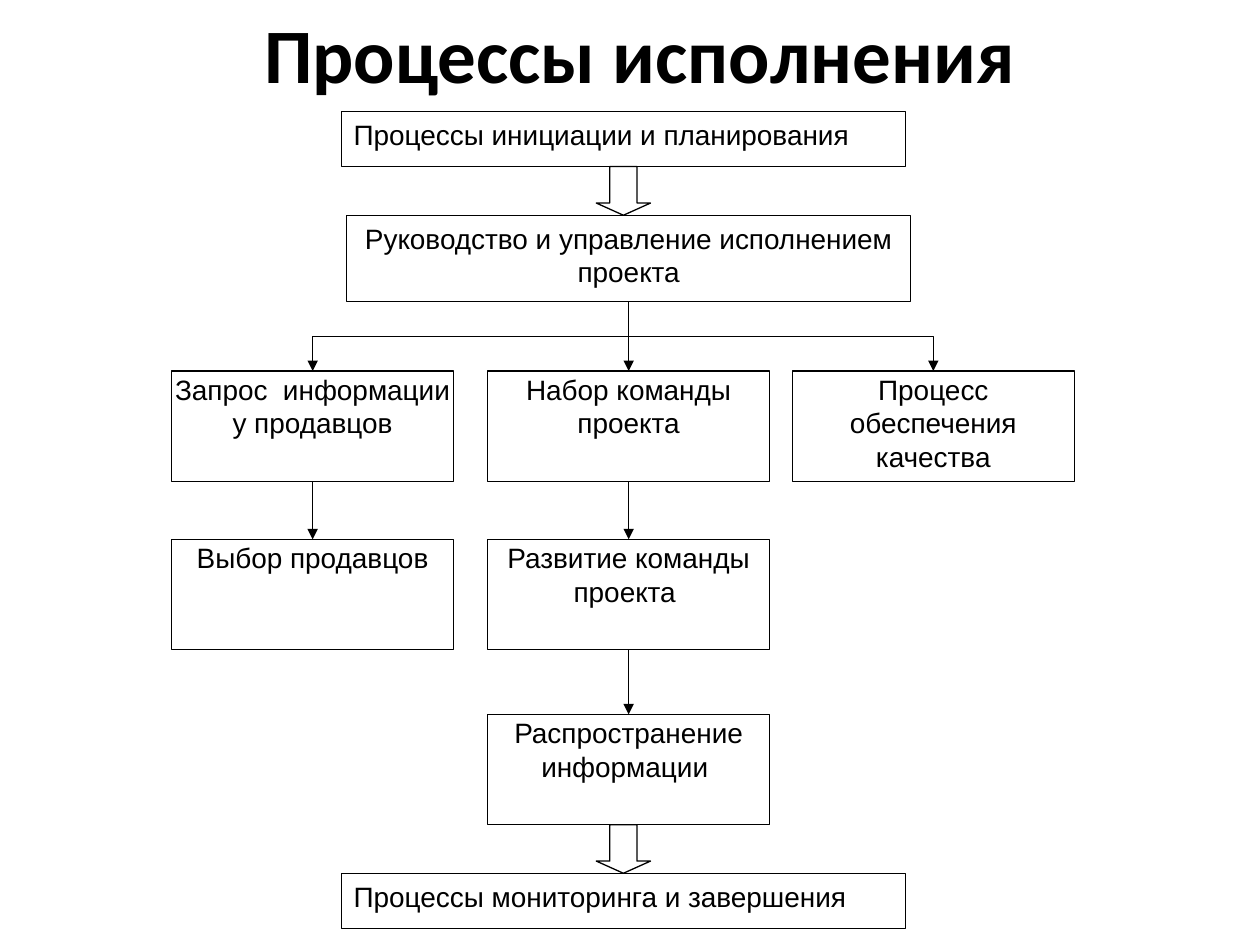
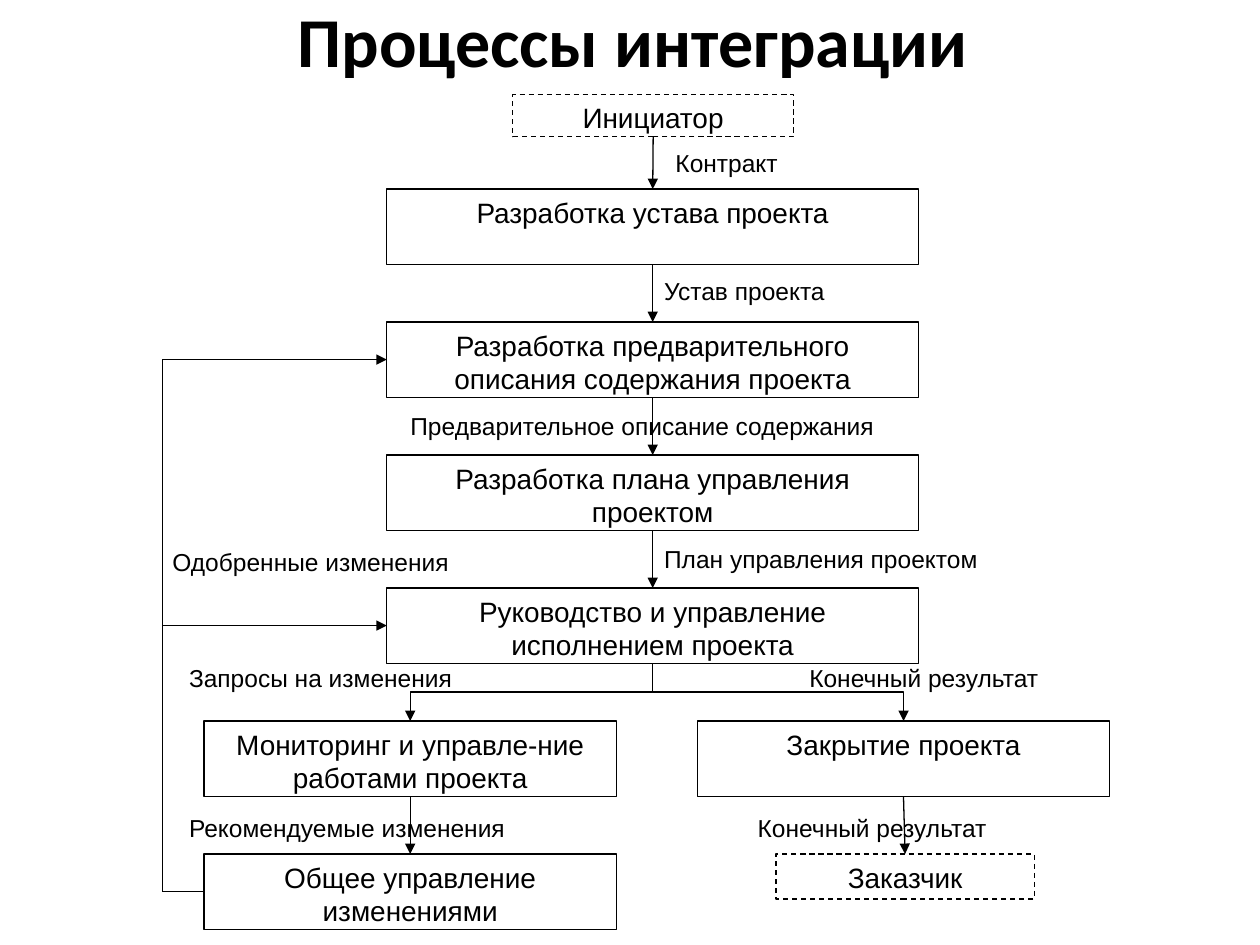
from dataclasses import dataclass

from lxml.etree import SubElement
from pptx import Presentation
from pptx.dml.color import RGBColor
from pptx.enum.dml import MSO_LINE
from pptx.enum.shapes import MSO_CONNECTOR, MSO_SHAPE
from pptx.enum.text import MSO_ANCHOR, PP_ALIGN
from pptx.oxml.ns import qn
from pptx.util import Pt

RECTANGLE, DOWN_ARROW = MSO_SHAPE.RECTANGLE, MSO_SHAPE.DOWN_ARROW
STRAIGHT, ELBOW = MSO_CONNECTOR.STRAIGHT, MSO_CONNECTOR.ELBOW
LEFT, CENTER = PP_ALIGN.LEFT, PP_ALIGN.CENTER
TOP, DASH = MSO_ANCHOR.TOP, MSO_LINE.DASH
SIDE_TOP, SIDE_BOTTOM = 0, 2
TITLE_ONLY = 5


@dataclass(frozen=True)
class Theme:
    ink: RGBColor = RGBColor(0, 0, 0)
    paper: RGBColor = RGBColor(255, 255, 255)
    title_font: str = "Calibri"
    body_font: str = "Arial"
    box_size: float = 16
    label_size: float = 14
    line_width: float = 0.75
    box_insets: tuple = (7.2, 3.6)
    tight_insets: tuple = (0, 0.7)
    label_insets: tuple = (0, 0)


class FlowChart:
    """Holds the theme and the current slide."""

    def __init__(self, presentation, theme):
        self.presentation = presentation
        self.theme = theme
        self.slide = None

    def new_slide(self, title, bounds, size):
        layout = self.presentation.slide_layouts[TITLE_ONLY]
        self.slide = self.presentation.slides.add_slide(layout)
        self.slide.background.fill.solid()
        self.slide.background.fill.fore_color.rgb = self.theme.paper
        shape = self.slide.shapes.title
        shape.left, shape.top, shape.width, shape.height = map(Pt, bounds)
        self.set_text(shape, title, size, CENTER, self.theme.box_insets,
                      self.theme.title_font, bold=True)

    def set_text(self, shape, text, size, alignment, insets, font=None, bold=False):
        frame = shape.text_frame
        frame.text = text
        frame.word_wrap = True
        frame.vertical_anchor = TOP
        frame.margin_left = frame.margin_right = Pt(insets[0])
        frame.margin_top = frame.margin_bottom = Pt(insets[1])
        for paragraph in frame.paragraphs:
            paragraph.alignment = alignment
            for run in paragraph.runs:
                run.font.name = font or self.theme.body_font
                run.font.size = Pt(size)
                run.font.bold = bold
                run.font.color.rgb = self.theme.ink

    def outline(self, line):
        line.color.rgb = self.theme.ink
        line.width = Pt(self.theme.line_width)

    def filled_shape(self, kind, bounds):
        shape = self.slide.shapes.add_shape(kind, *map(Pt, bounds))
        shape.shadow.inherit = False
        shape.fill.solid()
        shape.fill.fore_color.rgb = self.theme.paper
        self.outline(shape.line)
        return shape

    def box(self, text, *bounds, alignment=CENTER, insets=None, dashed=False):
        shape = self.filled_shape(RECTANGLE, bounds)
        if dashed:
            shape.line.dash_style = DASH
        self.set_text(shape, text, self.theme.box_size, alignment,
                      insets or self.theme.box_insets)
        return shape

    def block_arrow(self, *bounds):
        shape = self.filled_shape(DOWN_ARROW, bounds)
        shape.adjustments[0], shape.adjustments[1] = 0.5, 0.25

    def label(self, text, left, top, width, height=17):
        shape = self.slide.shapes.add_textbox(*map(Pt, (left, top, width, height)))
        self.set_text(shape, text, self.theme.label_size, LEFT, self.theme.label_insets)

    def connector(self, kind, *ends):
        connector = self.slide.shapes.add_connector(kind, *ends)
        self.outline(connector.line)
        properties = connector._element.spPr
        SubElement(properties.find(qn("a:ln")), qn("a:tailEnd"), type="triangle")
        SubElement(properties, qn("a:effectLst"))
        return connector

    def arrow(self, source, target):
        connector = self.connector(STRAIGHT, 0, 0, 0, 0)
        connector.begin_connect(source, SIDE_BOTTOM)
        connector.end_connect(target, SIDE_TOP)

    def branch(self, source, target):
        """Elbow from the bottom of source to the top of target."""
        start_x = source.left + source.width // 2
        start_y = source.top + source.height
        end_x = target.left + target.width // 2
        drop, run = target.top - start_y, abs(end_x - start_x)
        left = (start_x + end_x - drop) // 2
        top = (start_y + target.top - run) // 2
        connector = self.connector(ELBOW, left, top, left + drop, top + run)
        # A quarter turn makes the elbow leave and arrive vertically
        transform = connector._element.spPr.find(qn("a:xfrm"))
        goes_right = end_x > start_x
        transform.set("rot", str((270 if goes_right else 90) * 60000))
        if goes_right:
            transform.set("flipH", "1")

    def feedback(self, source, target, detour):
        """Elbow round the left, between the left sides of two boxes."""
        connector = self.connector(ELBOW, source.left, source.top + source.height // 2,
                                   target.left, target.top + target.height // 2)
        bend = round(-100000 * Pt(detour) / connector.width)
        geometry = connector._element.spPr.find(qn("a:prstGeom"))
        SubElement(geometry.find(qn("a:avLst")), qn("a:gd"),
                   name="adj1", fmla=f"val {bend}")


def build_execution(chart):
    chart.new_slide("Процессы исполнения", (42.5, 0, 646.5, 60.5), 44)

    # Neighbouring process groups and the main process
    outer_left, outer_width, outer_height = 195, 322.5, 31.5
    for text, top in (("Процессы инициации и планирования", 63.8),
                      ("Процессы мониторинга и завершения", 499)):
        chart.box(text, outer_left, top, outer_width, outer_height, alignment=LEFT)
    for top in (95.2, 471.2):
        chart.block_arrow(340.75, top, 31, 27.8)
    lead = chart.box("Руководство и управление исполнением проекта",
                     198, 123, outer_width, 49.5)

    # Columns of processes, each linked downwards
    row_tops = (212, 308.2, 408.2)
    columns = (
        (98, ("Запрос  информации у продавцов", "Выбор продавцов")),
        (278.6, ("Набор команды проекта", "Развитие команды проекта ",
                 "Распространение информации ")),
        (452.7, ("Процесс обеспечения качества",)),
    )
    heads = []
    for left, texts in columns:
        boxes = [chart.box(text, left, top, 161.3, 63, insets=chart.theme.tight_insets)
                 for text, top in zip(texts, row_tops)]
        for upper, lower in zip(boxes, boxes[1:]):
            chart.arrow(upper, lower)
        heads.append(boxes[0])

    # Links from the main process
    vendors, team, quality = heads
    chart.arrow(lead, team)
    chart.branch(lead, vendors)
    chart.branch(lead, quality)


def build_integration(chart):
    chart.new_slide("Процессы интеграции", (41.8, -5, 639.4, 55.4), 40)

    # Rows of equal pitch
    row_tops = [108 + 76 * row for row in range(6)]
    height = 43
    initiator = chart.box("Инициатор", 293, 54, 160.5, 24.2, dashed=True)
    stages = [chart.box(text, 221, top, 304, height) for text, top in zip((
        "Разработка устава проекта",
        "Разработка предварительного описания содержания проекта",
        "Разработка плана управления проектом",
        "Руководство и управление исполнением проекта",
    ), row_tops)]
    charter, scope, plan, execution = stages
    monitoring, changes = [chart.box(text, 116.5, top, 235.8, height) for text, top in zip(
        ("Мониторинг и управле-ние работами проекта", "Общее управление изменениями"),
        row_tops[4:])]
    closing = chart.box("Закрытие проекта", 398.4, row_tops[4], 235.8, height)
    customer = chart.box("Заказчик", 443.4, row_tops[5], 147.6, 25.8, dashed=True)

    # Links
    for source, target in ((initiator, charter), (charter, scope), (scope, plan),
                           (plan, execution), (monitoring, changes), (closing, customer)):
        chart.arrow(source, target)
    for target in (monitoring, closing):
        chart.branch(execution, target)
    for target in (execution, scope):
        chart.feedback(changes, target, detour=23.7)

    # Names of the documents that pass along the links
    for text, left, top, width in (
        ("Контракт", 386, 84.5, 93),
        ("Устав проекта", 379.5, 158, 118),
        ("Предварительное описание содержания", 234.5, 235, 322),
        ("План управления проектом", 379.5, 311, 223),
        ("Одобренные изменения", 98.5, 312.8, 223),
        ("Запросы на изменения", 108, 379, 223),
        ("Конечный результат", 462.5, 379, 196.5),
        ("Рекомендуемые изменения", 108, 464.7, 223),
        ("Конечный результат", 433, 464.7, 166.5),
    ):
        chart.label(text, left, top, width)


def main():
    presentation = Presentation()
    presentation.slide_width, presentation.slide_height = Pt(720), Pt(540)
    chart = FlowChart(presentation, Theme())
    build_execution(chart)
    build_integration(chart)
    presentation.save("out.pptx")


if __name__ == "__main__":
    main()
